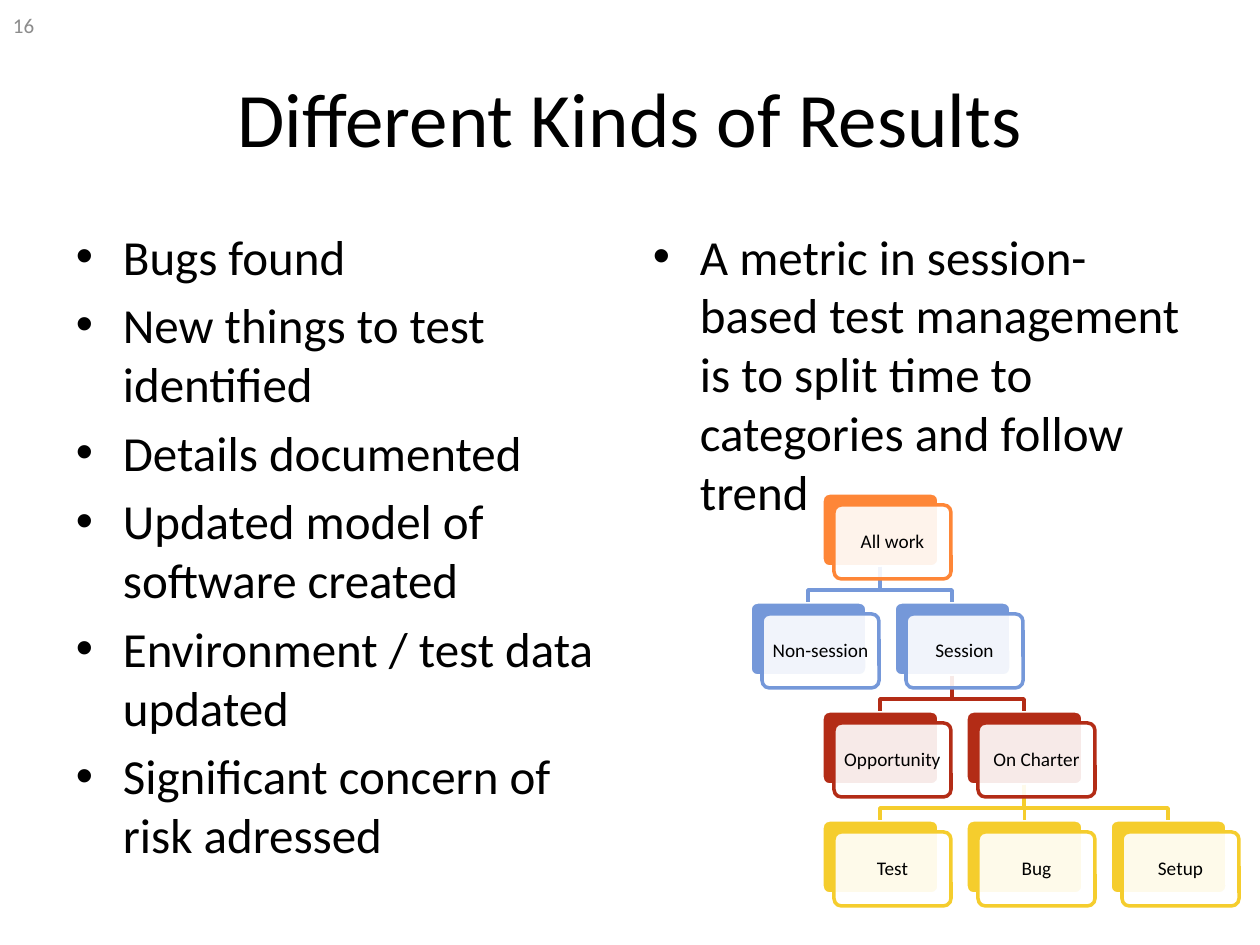
"""Build a slide on the kinds of test results with a session time breakdown tree."""
from lxml import etree
from pptx import Presentation
from pptx.dml.color import RGBColor
from pptx.enum.shapes import MSO_CONNECTOR, MSO_SHAPE
from pptx.enum.text import MSO_ANCHOR, PP_ALIGN
from pptx.oxml.ns import qn
from pptx.util import Emu, Pt

LEFT, CENTER = PP_ALIGN.LEFT, PP_ALIGN.CENTER
TOP, MIDDLE = MSO_ANCHOR.TOP, MSO_ANCHOR.MIDDLE
ROUNDED, STRAIGHT = MSO_SHAPE.ROUNDED_RECTANGLE, MSO_CONNECTOR.STRAIGHT
SCALE = 914400 / 126
THEME = {
    "font": "Calibri", "ink": "000000", "muted": "8C8C8C", "paper": "FFFFFF",
    "levels": ["FE8637", "7598D9", "B32C16", "F5CD2D"],
    "title": 44, "body": 28, "number": 12, "node": 11, "line": 2,
}


def px(*values):
    return [Emu(round(v * SCALE)) for v in values]


def write(s, *lines, size, color=THEME["ink"], align=LEFT, anchor=TOP,
          bullet=False, spacing=None, margins=(13, 6)):
    tf = s.text_frame
    tf.word_wrap = True
    tf.vertical_anchor = anchor
    tf.margin_left, tf.margin_top = tf.margin_right, tf.margin_bottom = px(*margins)
    for i, line in enumerate(lines):
        p = tf.paragraphs[0] if i == 0 else tf.add_paragraph()
        p.alignment = align
        p.line_spacing = spacing
        if i:
            p.space_before = Pt(size * 0.2)
        if bullet:
            pPr = p._p.get_or_add_pPr()
            indent = px(47)[0]
            pPr.set("marL", str(indent))
            pPr.set("indent", str(-indent))
            etree.SubElement(pPr, qn("a:buFont"), typeface="Arial")
            etree.SubElement(pPr, qn("a:buChar"), char="•")
        r = p.add_run()
        r.text = line
        r.font.name = THEME["font"]
        r.font.size = Pt(size)
        r.font.color.rgb = RGBColor.from_string(color)


prs = Presentation()
prs.slide_width, prs.slide_height = px(1260, 945)
shapes = prs.slides.add_slide(prs.slide_layouts[6]).shapes

write(shapes.add_textbox(*px(63, 38, 1134, 157)), "Different Kinds of Results",
      size=THEME["title"], align=CENTER, anchor=MIDDLE)
write(shapes.add_textbox(*px(0, 0, 294, 50)), "16",
      size=THEME["number"], color=THEME["muted"], anchor=MIDDLE)

columns = {
    63: ["Bugs found", "New things to test identified", "Details documented",
         "Updated model of software created", "Environment / test data updated",
         "Significant concern of risk adressed"],
    640: ["A metric in session-based test management is to split time to "
          "categories and follow trend"],
}
for left, lines in columns.items():
    write(shapes.add_textbox(*px(left, 220, 557, 624)), *lines,
          size=THEME["body"], bullet=True)

NODE_W, NODE_H, OFFSET, RADIUS = 117, 74, 12, 0.1
TREE_LEFT, TREE_TOP, HALF_STEP, ROW_STEP, BEND = 750, 493, 72, 109, 23
nodes = {
    "All work": (1, 0, None),
    "Non-session": (0, 1, "All work"),
    "Session": (2, 1, "All work"),
    "Opportunity": (1, 2, "Session"),
    "On Charter": (3, 2, "Session"),
    "Test": (1, 3, "On Charter"),
    "Bug": (3, 3, "On Charter"),
    "Setup": (5, 3, "On Charter"),
}
places = {name: (TREE_LEFT + col * HALF_STEP, TREE_TOP + row * ROW_STEP)
          for name, (col, row, parent) in nodes.items()}
colors = {name: RGBColor.from_string(THEME["levels"][row])
          for name, (col, row, parent) in nodes.items()}
paper = RGBColor.from_string(THEME["paper"])

backs = {}
for name, (x, y) in places.items():
    s = backs[name] = shapes.add_shape(ROUNDED, *px(x, y, NODE_W, NODE_H))
    s.shadow.inherit = False
    s.adjustments[0] = RADIUS
    s.fill.solid()
    s.fill.fore_color.rgb = colors[name]
    s.line.color.rgb = paper
    s.line.width = Pt(THEME["line"])

for name, (col, row, parent) in nodes.items():
    if parent is None:
        continue
    x, y = places[parent]
    start, bottom = x + NODE_W // 2, y + NODE_H
    end, top = places[name][0] + NODE_W // 2, places[name][1]
    if start == end:
        s = shapes.add_connector(STRAIGHT, *px(start, bottom, end, top))
        s.begin_connect(backs[parent], 2)
        s.end_connect(backs[name], 0)
        etree.SubElement(s._element.spPr, qn("a:effectLst"))
    else:
        elbow = shapes.build_freeform(start, bottom, scale=SCALE)
        elbow.add_line_segments(
            [(start, bottom + BEND), (end, bottom + BEND), (end, top)], close=False)
        s = elbow.convert_to_shape()
        s.shadow.inherit = False
        s.fill.background()
    s.line.color.rgb = colors[name]
    s.line.width = Pt(THEME["line"])

for name, (x, y) in places.items():
    s = shapes.add_shape(ROUNDED, *px(x + OFFSET, y + OFFSET, NODE_W, NODE_H))
    s.shadow.inherit = False
    s.adjustments[0] = RADIUS
    s.fill.solid()
    s.fill.fore_color.rgb = paper
    fill = s._element.spPr.find(qn("a:solidFill"))
    etree.SubElement(fill[0], qn("a:alpha"), val="90000")
    s.line.color.rgb = colors[name]
    s.line.width = Pt(THEME["line"])
    write(s, name, size=THEME["node"], align=CENTER, anchor=MIDDLE,
          spacing=0.9, margins=(6, 6))

prs.save("out.pptx")
